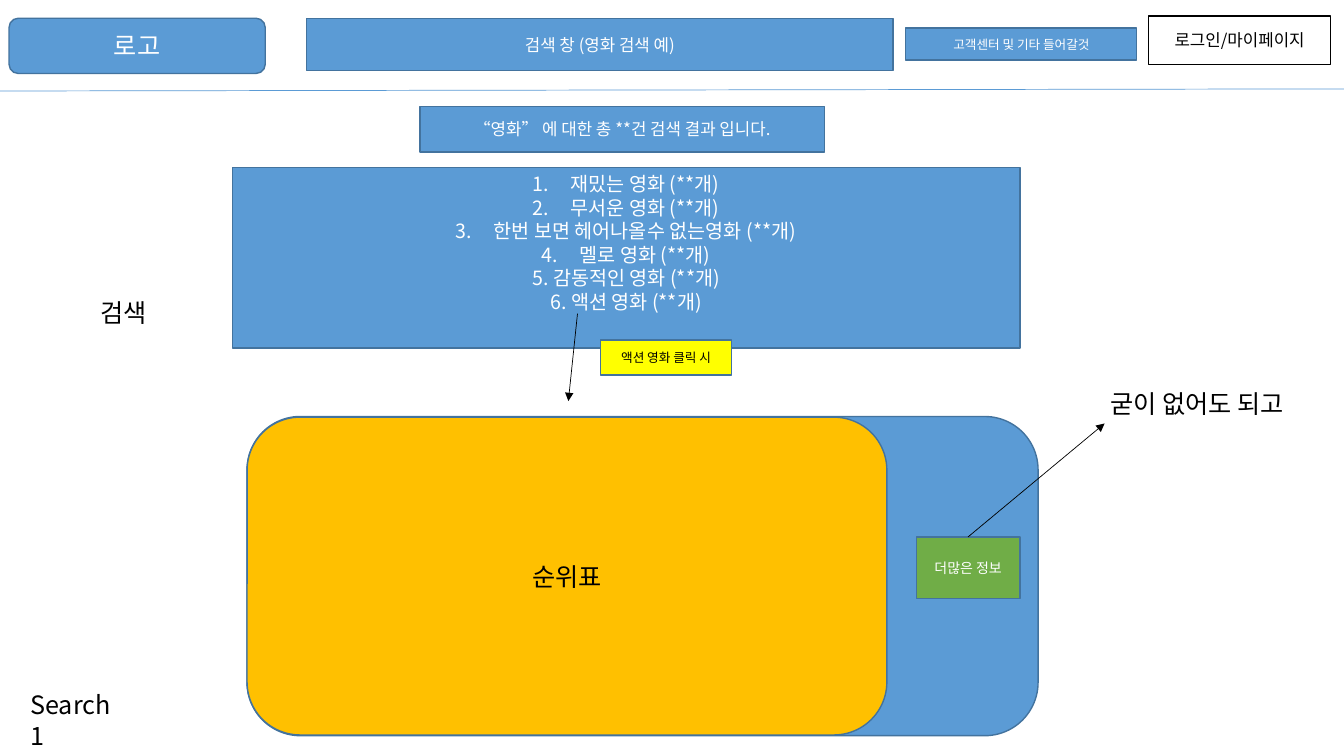
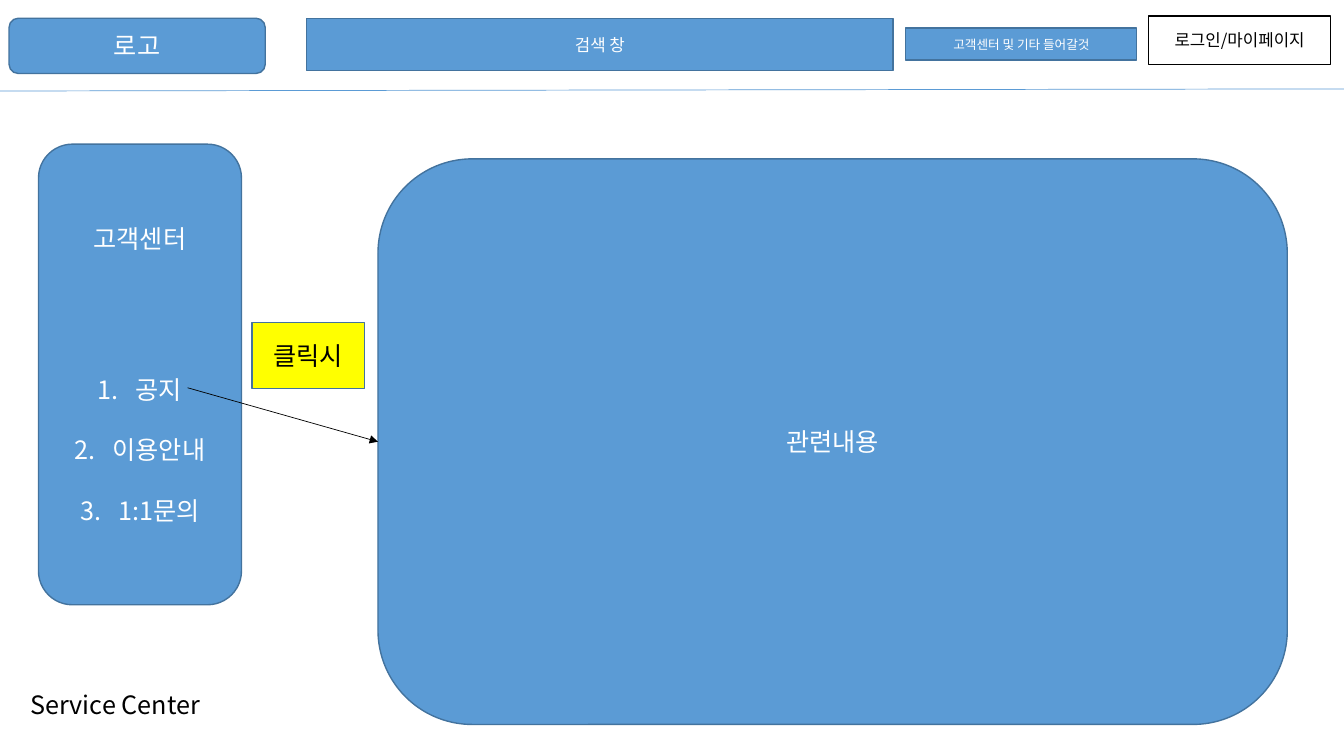
from lxml.etree import SubElement
from pptx import Presentation
from pptx.dml.color import RGBColor
from pptx.enum.shapes import MSO_CONNECTOR, MSO_SHAPE
from pptx.enum.text import MSO_ANCHOR, MSO_AUTO_SIZE, PP_ALIGN
from pptx.oxml.ns import qn
from pptx.util import Pt

FONT = "Noto Sans CJK KR"
BLACK = RGBColor(0x00, 0x00, 0x00)
WHITE = RGBColor(0xFF, 0xFF, 0xFF)
BLUE = RGBColor(0x5B, 0x9B, 0xD5)
DARK_BLUE = RGBColor(0x43, 0x73, 0x9E)
YELLOW = RGBColor(0xFF, 0xFF, 0x00)
AMBER = RGBColor(0xFF, 0xC0, 0x00)
GREEN = RGBColor(0x70, 0xAD, 0x47)
RECT, ROUND = MSO_SHAPE.RECTANGLE, MSO_SHAPE.ROUNDED_RECTANGLE
NUMBER_INDENT = Pt(27)


def write(shape, text, size, color, align=PP_ALIGN.CENTER, anchor=MSO_ANCHOR.MIDDLE):
    """Fill the shape with text in the deck's font, for Latin and Korean alike."""
    frame = shape.text_frame
    frame.text = text
    frame.word_wrap = True
    frame.auto_size = MSO_AUTO_SIZE.NONE
    frame.vertical_anchor = anchor
    for para in frame.paragraphs:
        para.alignment = align
        for span in para.runs:
            span.font.name = FONT
            span.font.size = Pt(size)
            span.font.color.rgb = color
            SubElement(span.font._element, qn("a:ea"), typeface=FONT)


def add_box(page, kind, place, text="", size=18, color=WHITE, fill=BLUE, outline=DARK_BLUE):
    box = page.shapes.add_shape(kind, *map(Pt, place))
    box.shadow.inherit = False
    if fill is None:
        box.fill.background()
    else:
        box.fill.solid()
        box.fill.fore_color.rgb = fill
    box.line.color.rgb = outline
    box.line.width = Pt(1)
    write(box, text, size, color)
    return box


deck = Presentation()
deck.slide_width, deck.slide_height = Pt(960), Pt(540)
lines = []  # page, start, end, colour, has arrowhead, start box and site, end box and site

# Page name and header bar
pages = []
for name, name_width, search_text in (
    ("Search 1", 85, "검색 창 (영화 검색 예)"),
    ("Service Center", 140, "검색 창"),
):
    page = deck.slides.add_slide(deck.slide_layouts[5])
    pages.append(page)
    title = page.shapes.title
    title.left, title.top, title.width, title.height = map(Pt, (14.5, 489, name_width, 29))
    write(title, name, 18, BLACK, PP_ALIGN.LEFT, MSO_ANCHOR.TOP)
    add_box(page, RECT, (820.5, 11.5, 130, 34.5), "로그인/마이페이지", 12, BLACK, None, BLACK)
    add_box(page, RECT, (219, 13, 419, 37.5), search_text, 12)
    add_box(page, ROUND, (6.5, 13, 183, 39.5), "로고")
    add_box(page, RECT, (647, 20, 165, 23), "고객센터 및 기타 들어갈것", 9)
    lines.append((page, (0, 65), (960, 63.5), BLUE, False, None, None))
search_page, service_page = pages

# Search results
add_box(search_page, RECT, (300, 76, 289, 32.5), "“영화” 에 대한 총 **건 검색 결과 입니다.", 12)
genres = (
    "재밌는 영화 (**개)",
    "무서운 영화 (**개)",
    "한번 보면 헤어나올수 없는영화 (**개)",
    "멜로 영화 (**개)",
    "5. 감동적인 영화 (**개)",
    "6. 액션 영화 (**개)",
)
genre_box = add_box(search_page, RECT, (166, 119.5, 562.5, 129), "\n".join(genres), 14)
genre_box.text_frame.margin_bottom = Pt(25)
add_box(search_page, RECT, (429, 243, 93.5, 25), "액션 영화 클릭 시", 9, BLACK, YELLOW)
add_box(search_page, ROUND, (176.5, 297.5, 565, 228))
add_box(search_page, ROUND, (176.5, 298, 457, 227), "순위표", 18, BLACK, AMBER)
more_box = add_box(search_page, RECT, (654.5, 383.5, 74, 44), "더많은 정보", 10, WHITE, GREEN)
for text, place in (
    ("굳이 없어도 되고", (786, 273.5, 155, 29)),
    ("검색", (64.5, 208.5, 51, 29)),
):
    label = search_page.shapes.add_textbox(*map(Pt, place))
    write(label, text, 18, BLACK, PP_ALIGN.LEFT, MSO_ANCHOR.TOP)
    label.text_frame.word_wrap = False
lines.append((search_page, (412.5, 224), (406, 286.5), BLACK, True, None, None))
lines.append((search_page, (691.5, 383.5), (789, 302.5), BLACK, True, (more_box, 0), None))

# Service centre
menu = ("고객센터", "공지", "이용안내", "1:1문의")
menu_box = add_box(service_page, ROUND, (27.5, 103, 145, 329), "\n".join(menu))
content_box = add_box(service_page, ROUND, (270, 113.5, 649.5, 404), "관련내용")
add_box(service_page, RECT, (180, 230.5, 80.5, 47), "클릭시", 18, BLACK, YELLOW)
menu_items = menu_box.text_frame.paragraphs[1:]
for para in menu_items:
    para.space_before = Pt(21.5)
menu_items[0].space_before = Pt(86)
lines.append((service_page, (134, 277), (270, 315.5), BLACK, True, None, (content_box, 1)))

# Automatic numbers
for para in (*genre_box.text_frame.paragraphs[:4], *menu_items):
    properties = para._p.get_or_add_pPr()
    properties.set("marL", str(NUMBER_INDENT))
    properties.set("indent", str(-NUMBER_INDENT))
    SubElement(properties, qn("a:buFont"), typeface="+mj-lt")
    SubElement(properties, qn("a:buAutoNum"), type="arabicPeriod")

# Rules and arrows
for page, start, end, color, has_arrow, start_joint, end_joint in lines:
    line = page.shapes.add_connector(MSO_CONNECTOR.STRAIGHT, *map(Pt, (*start, *end)))
    if start_joint:
        line.begin_connect(*start_joint)
    if end_joint:
        line.end_connect(*end_joint)
    line.line.color.rgb = color
    line.line.width = Pt(0.5)
    if has_arrow:
        SubElement(line.line._get_or_add_ln(), qn("a:tailEnd"), type="triangle")
    SubElement(line._element.spPr, qn("a:effectLst"))

deck.save("out.pptx")
